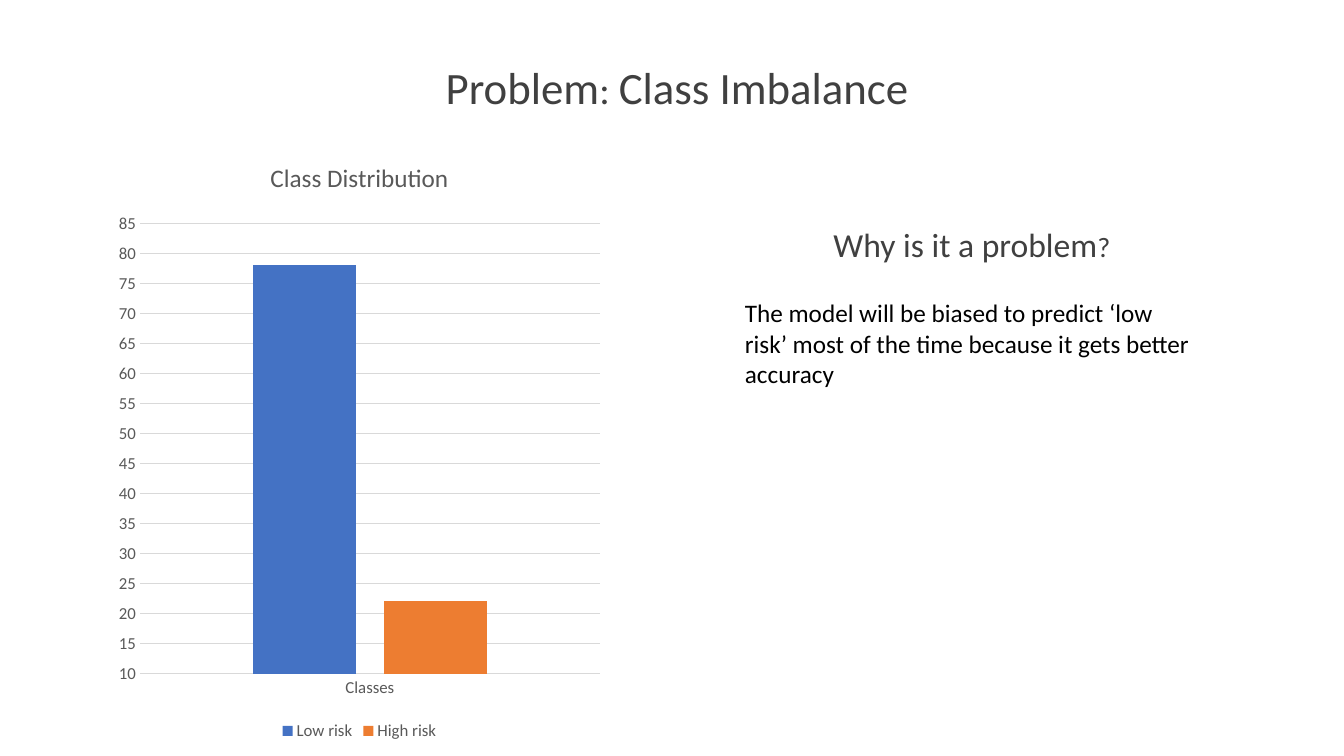
from pptx import Presentation
from pptx.chart.data import CategoryChartData
from pptx.dml.color import RGBColor
from pptx.enum.chart import XL_CHART_TYPE as ChartType
from pptx.enum.chart import XL_LEGEND_POSITION as LegendPosition
from pptx.enum.chart import XL_TICK_MARK as TickMark
from pptx.enum.text import MSO_ANCHOR, MSO_AUTO_SIZE, PP_ALIGN
from pptx.util import Inches, Pt

FONT = "Calibri"
HEADING = RGBColor(0x40, 0x40, 0x40)
BODY = RGBColor(0x00, 0x00, 0x00)
LABEL = RGBColor(0x59, 0x59, 0x59)
GRID = RGBColor(0xD9, 0xD9, 0xD9)
BLUE = RGBColor(0x44, 0x72, 0xC4)
ORANGE = RGBColor(0xED, 0x7D, 0x31)

TITLE = [("Problem", 32), (":", 28), (" ", 28), ("Class Imbalance", 32)]
QUESTION = [("Why is it a problem", 24), ("?", 20)]
ANSWER = [("The model will be biased to predict ‘low risk’ most of the time "
           "because it gets better accuracy", 18)]
CHART_TITLE = "Class Distribution"
CATEGORIES = ["Classes"]
SERIES = [("Low risk", 78, BLUE), ("High risk", 22, ORANGE)]

TITLE_BOX = (4.32, 0.54, 4.81, 0.64)
CHART_BOX = (1.08, 1.37, 4.97, 6.02)
REASON_BOX = (7.29, 2.17, 4.7, 1.75)


def style_font(font, size, color):
    font.name = FONT
    font.size = Pt(size)
    font.bold = False
    font.color.rgb = color


def add_runs(para, runs, color, align):
    para.alignment = align
    for text, size in runs:
        span = para.add_run()
        span.text = text
        style_font(span.font, size, color)


def style_axis(axis):
    axis.major_tick_mark = TickMark.NONE
    axis.minor_tick_mark = TickMark.NONE
    style_font(axis.tick_labels.font, 12, LABEL)


def add_title(page):
    title = page.shapes.title
    title.left, title.top, title.width, title.height = map(Inches, TITLE_BOX)
    frame = title.text_frame
    frame.auto_size = MSO_AUTO_SIZE.NONE
    frame.word_wrap = False
    frame.vertical_anchor = MSO_ANCHOR.TOP
    add_runs(frame.paragraphs[0], TITLE, HEADING, PP_ALIGN.LEFT)


def add_distribution(page):
    data = CategoryChartData()
    data.categories = CATEGORIES
    for name, value, color in SERIES:
        data.add_series(name, [value])
    chart = page.shapes.add_chart(
        ChartType.COLUMN_CLUSTERED, *map(Inches, CHART_BOX), data).chart
    style_font(chart.font, 10, BODY)

    chart.has_title = True
    add_runs(chart.chart_title.text_frame.paragraphs[0],
             [(CHART_TITLE, 18)], LABEL, PP_ALIGN.CENTER)
    chart.chart_title.include_in_layout = False

    chart.has_legend = True
    chart.legend.position = LegendPosition.BOTTOM
    chart.legend.include_in_layout = False
    style_font(chart.legend.font, 12, LABEL)

    style_axis(chart.category_axis)
    chart.category_axis.format.line.color.rgb = GRID
    chart.category_axis.format.line.width = Pt(0.75)

    values = chart.value_axis
    style_axis(values)
    values.minimum_scale, values.maximum_scale, values.major_unit = 10, 85, 5
    values.format.line.fill.background()
    values.has_major_gridlines = True
    values.major_gridlines.format.line.color.rgb = GRID
    values.major_gridlines.format.line.width = Pt(0.75)

    plot = chart.plots[0]
    plot.gap_width = 219
    plot.overlap = -27
    plot.vary_by_categories = False
    for series, (name, value, color) in zip(plot.series, SERIES):
        series.format.fill.solid()
        series.format.fill.fore_color.rgb = color


def add_reason(page):
    box = page.shapes.add_textbox(*map(Inches, REASON_BOX))
    frame = box.text_frame
    frame.word_wrap = True
    add_runs(frame.paragraphs[0], QUESTION, HEADING, PP_ALIGN.CENTER)
    answer = frame.add_paragraph()
    answer.space_before = Pt(24)
    add_runs(answer, ANSWER, BODY, PP_ALIGN.LEFT)


def main():
    deck = Presentation()
    deck.slide_width, deck.slide_height = Inches(13.33), Inches(7.5)
    page = deck.slides.add_slide(deck.slide_layouts[5])
    add_title(page)
    add_distribution(page)
    add_reason(page)
    deck.save("out.pptx")


if __name__ == "__main__":
    main()
